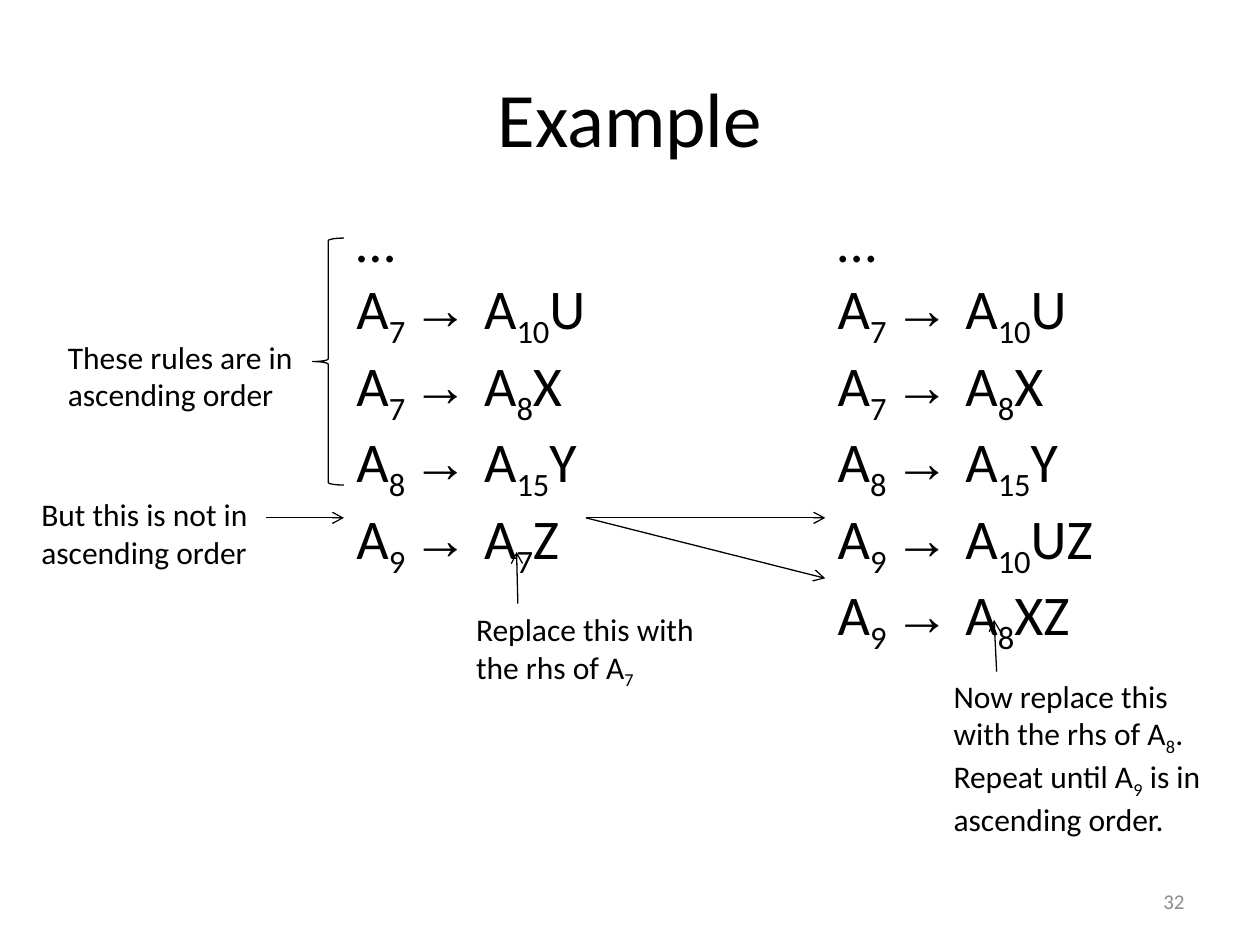
from lxml import etree
from pptx import Presentation
from pptx.dml.color import RGBColor
from pptx.enum.shapes import MSO_CONNECTOR, MSO_SHAPE
from pptx.enum.text import MSO_ANCHOR, MSO_AUTO_SIZE, PP_ALIGN
from pptx.oxml.ns import qn
from pptx.util import Inches, Pt

TOP, MIDDLE = MSO_ANCHOR.TOP, MSO_ANCHOR.MIDDLE
LEFT, CENTER, RIGHT = PP_ALIGN.LEFT, PP_ALIGN.CENTER, PP_ALIGN.RIGHT
FIT, NO_FIT = MSO_AUTO_SIZE.SHAPE_TO_FIT_TEXT, MSO_AUTO_SIZE.NONE
STRAIGHT, BRACE = MSO_CONNECTOR.STRAIGHT, MSO_SHAPE.LEFT_BRACE
COLORS = {"ink": "000000", "number": "8C8C8C"}

prs = Presentation()
prs.slide_width, prs.slide_height = Inches(10), Inches(7.5)
COL, ROW = prs.slide_width / 100, prs.slide_height / 75
s = prs.slides.add_slide(prs.slide_layouts[6])


def grid(x, y, *size):
    units = (COL, ROW, COL, ROW)
    return [round(v * u) for v, u in zip((x, y, *size), units)]


def add_text(box, lines, size, color="ink", align=LEFT, anchor=TOP, wrap=True, fit=NO_FIT):
    tf = s.shapes.add_textbox(*grid(*box)).text_frame
    tf.word_wrap, tf.auto_size, tf.vertical_anchor = wrap, fit, anchor
    for i, pieces in enumerate(lines):
        p = tf.paragraphs[0] if i == 0 else tf.add_paragraph()
        p.alignment = align
        for piece in pieces:
            r = p.add_run()
            r.text = piece.removeprefix("_")
            r.font.size = Pt(size)
            r.font.name = "Arial" if "→" in piece else "Calibri"
            r.font.color.rgb = RGBColor.from_string(COLORS[color])
            if piece.startswith("_"):
                r.font._element.set("baseline", "-25000")


add_text((5, 3, 90, 12.5), [["Example"]], 44, align=CENTER, anchor=MIDDLE)

shared_rules = [("7", "10", "U"), ("7", "8", "X"), ("8", "15", "Y")]
rule_lists = [
    ((27.3, 15.9, 22.4, 27.9), [("9", "7", "Z")]),
    ((65.5, 15.9, 24, 33.3), [("9", "10", "UZ"), ("9", "8", "XZ")]),
]
for box, last_rules in rule_lists:
    lines = [["…"]]
    for lhs, rhs, tail in shared_rules + last_rules:
        lines.append(["A", f"_{lhs} ", "→ ", "A", f"_{rhs}", tail])
    add_text(box, lines, 32, wrap=False, fit=FIT)

brace = s.shapes.add_shape(BRACE, *grid(24.8, 18.9, 2.5, 19.6))
brace.shadow.inherit = False
brace.fill.background()
brace.line.color.rgb = RGBColor.from_string(COLORS["ink"])
brace.line.width = Pt(0.75)

notes = [
    ((4.4, 26.3, 21.6, 7.1), ["These rules are in ascending order"]),
    ((2.3, 38.8, 20.6, 7.1), ["But this is not in ascending order"]),
    ((36.8, 47.9, 19.5, 7.1), ["Replace this with the rhs of A", "_7"]),
    ((74.7, 53.2, 23.4, 13.1), ["Now replace this with the rhs of A", "_8", ". Repeat until A",
                                "_9", " is in ascending order."]),
]
for box, pieces in notes:
    add_text(box, [pieces], 18, fit=FIT)

arrows = [
    ((21.1, 41.1), (27.3, 41.1)),
    ((41.1, 47.9), (41, 43.8)),
    ((79.1, 53.3), (78.9, 49.2)),
    ((46.5, 41.1), (65.5, 41.1)),
    ((46.5, 41.1), (65.5, 45.9)),
]
for start, end in arrows:
    c = s.shapes.add_connector(STRAIGHT, *grid(*start), *grid(*end))
    c.line.color.rgb = RGBColor.from_string(COLORS["ink"])
    c.line.width = Pt(0.75)
    etree.SubElement(c.line._get_or_add_ln(), qn("a:tailEnd"), type="arrow")
    etree.SubElement(c._element.spPr, qn("a:effectLst"))

add_text((71.7, 69.5, 23.3, 4), [["32"]], 12, "number", RIGHT, MIDDLE)

prs.save("out.pptx")
